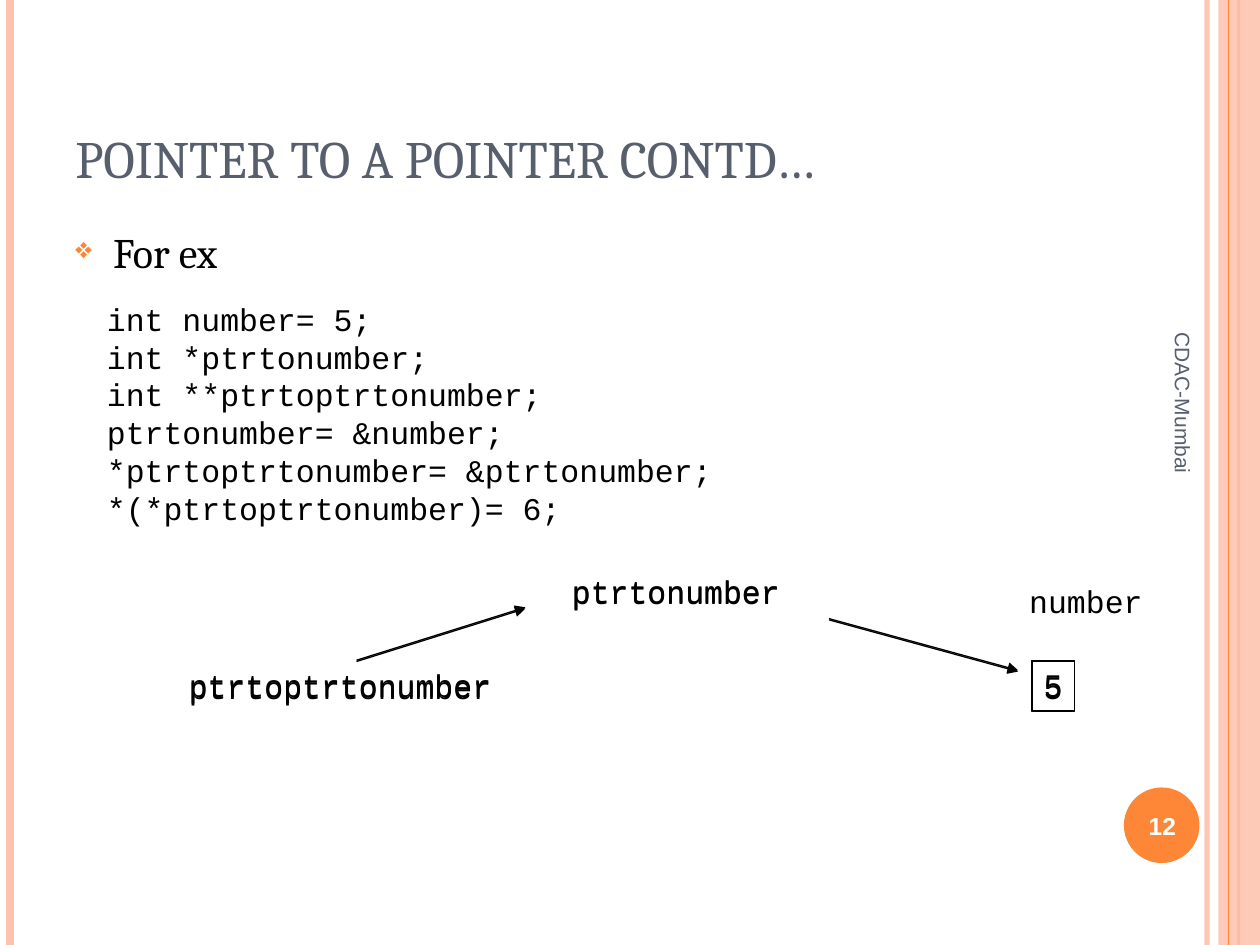
from lxml import etree
from pptx import Presentation
from pptx.dml.color import RGBColor
from pptx.enum.shapes import MSO_CONNECTOR as Connector, MSO_SHAPE as Shape
from pptx.enum.text import MSO_ANCHOR as Anchor, MSO_AUTO_SIZE as AutoSize, PP_ALIGN as Align
from pptx.oxml.ns import qn
from pptx.util import Inches, Pt

COLORS = {"orange": "FE8637", "peach": "FEC3AE", "slate": "575F6D",
          "black": "000000", "white": "FFFFFF"}
MONO = "Courier New"

TITLE = "POINTER TO A POINTER CONTD…"
LEAD = "For ex"
CODE = [
    "int number= 5;",
    "int *ptrtonumber;",
    "int **ptrtoptrtonumber;",
    "ptrtonumber= &number;",
    "*ptrtoptrtonumber= &ptrtonumber;",
    "*(*ptrtoptrtonumber)= 6;",
]
FOOTER = "CDAC-Mumbai"
PAGE_NUMBER = "12"

STRIPES = [(9.58, "peach", 3, 93), (0.08, "peach", 4.5, 100), (9.83, "orange", 1.5, 100)]
INNER_STRIPE = (9.75, "orange", 0.75, 100)
VALUE = ("5", 8.19, 5.25, 0.34)
POINTERS = [("ptrtonumber", 4.44, 4.5, 1.85), ("ptrtoptrtonumber", 1.4, 5.25, 2.6)]
ARROWS = [((6.58, 4.92), (8.08, 5.33)), ((2.83, 5.25), (4.17, 4.83))]
LAYER_SHIFTS = [0, -0.01]
LABEL_HEIGHT = 0.4


def rgb(name):
    return RGBColor.from_string(COLORS[name])


def set_alpha(fill_parent, percent):
    color = next(fill_parent.iter(qn("a:srgbClr")))
    etree.SubElement(color, qn("a:alpha")).set("val", str(percent * 1000))


def add_line(page, start, end, color="black", width=0.75, alpha=100, arrow=False):
    line = page.shapes.add_connector(Connector.STRAIGHT, *map(Inches, start + end))
    line.line.color.rgb = rgb(color)
    line.line.width = Pt(width)
    outline = line.line._get_or_add_ln()
    if alpha < 100:
        set_alpha(outline, alpha)
    if arrow:
        etree.SubElement(outline, qn("a:tailEnd")).set("type", "triangle")
    etree.SubElement(line._element.spPr, qn("a:effectLst"))


def add_stripe(page, left, color, width, alpha):
    add_line(page, (left, 0), (left, 7.5), color, width, alpha)


def add_filled(page, kind, bounds, color):
    shape = page.shapes.add_shape(kind, *map(Inches, bounds))
    shape.shadow.inherit = False
    shape.fill.solid()
    shape.fill.fore_color.rgb = rgb(color)
    shape.line.fill.background()
    return shape


def add_bullet(para, mark, color, percent):
    props = para._p.get_or_add_pPr()
    props.set("marL", str(Inches(0.3)))
    props.set("indent", str(-Inches(0.3)))
    bullet_color = etree.SubElement(props, qn("a:buClr"))
    etree.SubElement(bullet_color, qn("a:srgbClr")).set("val", COLORS[color])
    etree.SubElement(props, qn("a:buSzPct")).set("val", str(percent * 1000))
    etree.SubElement(props, qn("a:buChar")).set("char", mark)


def add_text(page, lines, bounds, font=MONO, size=18, color="black", bold=False,
             align=Align.LEFT, anchor=Anchor.TOP, wrap=True, grow=False,
             rotation=0, bullet=None, border=False):
    if border:
        box = page.shapes.add_shape(Shape.RECTANGLE, *map(Inches, bounds))
        box.shadow.inherit = False
        box.fill.background()
        box.line.color.rgb = rgb("black")
        box.line.width = Pt(0.75)
    else:
        box = page.shapes.add_textbox(*map(Inches, bounds))
    box.rotation = rotation
    frame = box.text_frame
    frame.word_wrap = wrap
    frame.auto_size = AutoSize.SHAPE_TO_FIT_TEXT if grow else AutoSize.NONE
    frame.vertical_anchor = anchor
    for index, text in enumerate(lines):
        para = frame.paragraphs[0] if index == 0 else frame.add_paragraph()
        para.alignment = align
        if bullet:
            add_bullet(para, bullet, "orange", 70)
        span = para.add_run()
        span.text = text
        span.font.name = font
        span.font.size = Pt(size)
        span.font.bold = bold
        span.font.color.rgb = rgb(color)


def add_label(page, text, left, top, width, **style):
    add_text(page, [text], (left, top, width, LABEL_HEIGHT), wrap=False, grow=True, **style)


def add_diagram(page, shift):
    text, left, top, width = VALUE
    add_label(page, text, left, top + shift, width, font="Arial", border=True)
    for text, left, top, width in POINTERS:
        add_label(page, text, left, top + shift, width)
    for (x1, y1), (x2, y2) in ARROWS:
        add_line(page, (x1, y1 + shift), (x2, y2 + shift), arrow=True)


def main():
    deck = Presentation()
    deck.slide_width, deck.slide_height = Inches(10), Inches(7.5)
    page = deck.slides.add_slide(deck.slide_layouts[6])

    for stripe in STRIPES:
        add_stripe(page, *stripe)
    band = add_filled(page, Shape.RECTANGLE, (9.67, 0, 0.33, 7.5), "peach")
    set_alpha(band._element.spPr, 87)
    add_stripe(page, *INNER_STRIPE)
    add_filled(page, Shape.OVAL, (8.92, 6.25, 0.6, 0.6), "orange")

    add_text(page, [TITLE], (0.5, 0.3, 8.17, 1.25), font="Cambria", size=30,
             color="slate", anchor=Anchor.BOTTOM)
    add_text(page, [LEAD], (0.5, 1.75, 8.17, 5.33), font="Cambria", size=24, bullet="❖")
    add_text(page, [PAGE_NUMBER], (8.89, 6.27, 0.67, 0.57), font="Arial", size=14,
             color="white", bold=True, align=Align.CENTER, anchor=Anchor.MIDDLE)
    add_text(page, [FOOTER], (7.64, 4.09, 3.5, 0.4), font="Arial", size=12,
             color="slate", anchor=Anchor.MIDDLE, rotation=90)
    add_text(page, CODE, (0.75, 2.33, 5.17, 1.9), grow=True)

    for shift in LAYER_SHIFTS:
        add_diagram(page, shift)
    add_label(page, "number", 8.07, 4.57, 1.1)
    deck.save("out.pptx")


if __name__ == "__main__":
    main()
